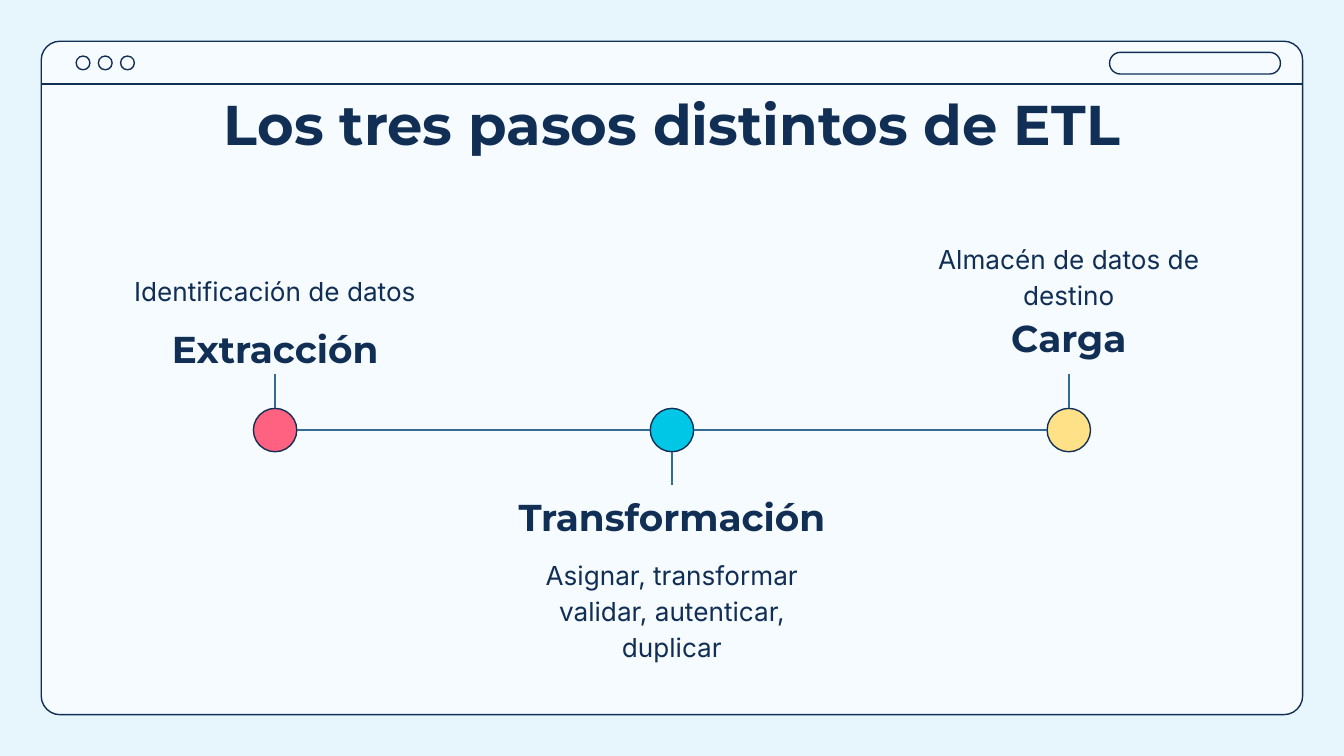
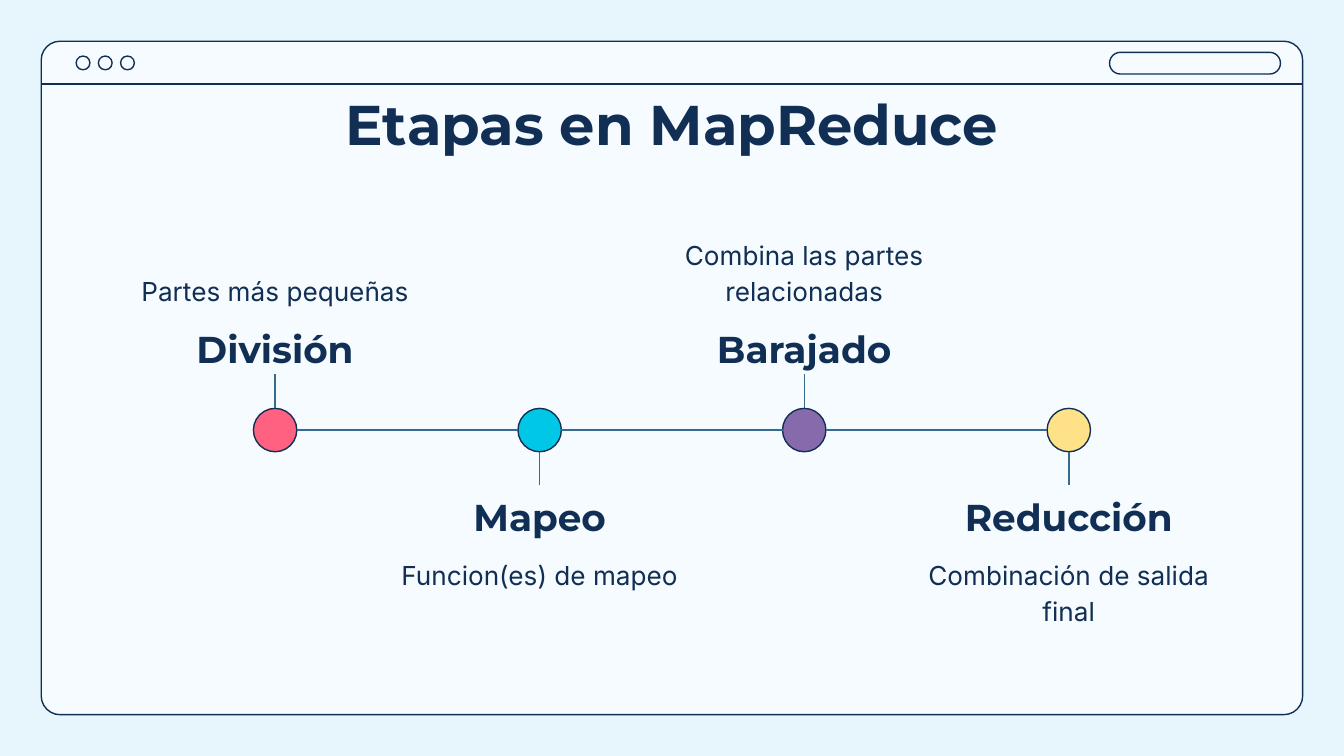
from dataclasses import dataclass
from itertools import pairwise

from lxml import etree
from pptx import Presentation
from pptx.dml.color import RGBColor
from pptx.enum.shapes import MSO_CONNECTOR, MSO_SHAPE
from pptx.enum.text import MSO_ANCHOR, MSO_AUTO_SIZE, PP_ALIGN
from pptx.oxml.ns import qn
from pptx.shapes.autoshape import Shape
from pptx.shapes.connector import Connector
from pptx.slide import Slide, SlideLayout
from pptx.util import Cm, Pt

ELLIPSE = MSO_SHAPE.OVAL
ROUNDED = MSO_SHAPE.ROUNDED_RECTANGLE
STRAIGHT = MSO_CONNECTOR.STRAIGHT
TOP, BOTTOM = MSO_ANCHOR.TOP, MSO_ANCHOR.BOTTOM
CENTER = PP_ALIGN.CENTER
NO_AUTOFIT = MSO_AUTO_SIZE.NONE
TOP_SIDE, BOTTOM_SIDE = 0, 2

COLORS = {
    "background": "E6F6FC",
    "window": "F5FBFF",
    "navy": "112E54",
    "timeline": "356B90",
    "pink": "FF6180",
    "cyan": "00C7E6",
    "purple": "866AAC",
    "yellow": "FFE188",
}
HEADING_FONT = "Montserrat"
BODY_FONT = "Inter"

WINDOW_LEFT, WINDOW_TOP, WINDOW_WIDTH, WINDOW_HEIGHT = 0.78, 0.78, 23.84, 12.73
DIVIDER_Y = 1.59
FIRST_CENTER, LAST_CENTER = 5.2, 20.2
TIMELINE_Y = 8.13
MARKER_SIZE = 0.82
RADIUS = MARKER_SIZE / 2
TEXT_WIDTH, LABEL_HEIGHT, DETAIL_HEIGHT = 6.4, 1.27, 1.6


@dataclass(frozen=True)
class Placement:
    label_top: float
    label_anchor: MSO_ANCHOR
    detail_top: float
    detail_anchor: MSO_ANCHOR
    above: bool


ABOVE = Placement(5.79, TOP, 4.45, BOTTOM, True)
ABOVE_RAISED = Placement(5.79, BOTTOM, 4.27, TOP, True)
BELOW = Placement(9.17, BOTTOM, 10.24, TOP, False)


@dataclass(frozen=True)
class Step:
    label: str
    detail: str
    color: str
    placement: Placement


@dataclass(frozen=True)
class Timeline:
    title: str
    steps: tuple[Step, ...]


TIMELINES = (
    Timeline("Los tres pasos distintos de ETL", (
        Step("Extracción", "Identificación de datos", "pink", ABOVE),
        Step("Transformación", "Asignar, transformar validar, autenticar, duplicar",
             "cyan", BELOW),
        Step("Carga", "Almacén de datos de destino", "yellow", ABOVE_RAISED),
    )),
    Timeline("Etapas en MapReduce", (
        Step("División", "Partes más pequeñas", "pink", ABOVE),
        Step("Mapeo", "Funcion(es) de mapeo", "cyan", BELOW),
        Step("Barajado", "Combina las partes relacionadas", "purple", ABOVE),
        Step("Reducción", "Combinación de salida final", "yellow", BELOW),
    )),
)


def rgb(name: str) -> RGBColor:
    return RGBColor.from_string(COLORS[name])


def write_text(shape: Shape, text: str, *, size: float, font: str = HEADING_FONT,
               bold: bool = True, anchor: MSO_ANCHOR = TOP,
               line_spacing: float = 1.0) -> None:
    frame = shape.text_frame
    frame.word_wrap = True
    frame.auto_size = NO_AUTOFIT
    frame.vertical_anchor = anchor
    frame.margin_left = frame.margin_right = Cm(0.25)
    frame.margin_top = frame.margin_bottom = Cm(0.25)
    paragraph = frame.paragraphs[0]
    paragraph.alignment = CENTER
    paragraph.line_spacing = line_spacing
    run = paragraph.add_run()
    run.text = text
    run.font.name = font
    run.font.size = Pt(size)
    run.font.bold = bold
    run.font.color.rgb = rgb("navy")


def add_outlined(shapes, kind: MSO_SHAPE, left: float, top: float, width: float,
                 height: float, fill: str | None = None) -> Shape:
    shape = shapes.add_shape(kind, Cm(left), Cm(top), Cm(width), Cm(height))
    shape.shadow.inherit = False
    if fill:
        shape.fill.solid()
        shape.fill.fore_color.rgb = rgb(fill)
    else:
        shape.fill.background()
    shape.line.color.rgb = rgb("navy")
    shape.line.width = Pt(0.75)
    return shape


def add_line(shapes, start: tuple[float, float], end: tuple[float, float],
             color: str = "timeline") -> Connector:
    connector = shapes.add_connector(STRAIGHT, *map(Cm, start + end))
    connector.line.color.rgb = rgb(color)
    connector.line.width = Pt(0.75)
    etree.SubElement(connector._element.spPr, qn("a:effectLst"))
    return connector


def add_text(slide: Slide, text: str, center: float, top: float, height: float,
             **text_format) -> Shape:
    box = slide.shapes.add_textbox(Cm(center - TEXT_WIDTH / 2), Cm(top),
                                   Cm(TEXT_WIDTH), Cm(height))
    write_text(box, text, line_spacing=1.15, **text_format)
    return box


def add_window(slide: Slide, layout: SlideLayout) -> None:
    group = slide.shapes.add_group_shape()
    window = add_outlined(group.shapes, ROUNDED, WINDOW_LEFT, WINDOW_TOP,
                          WINDOW_WIDTH, WINDOW_HEIGHT, "window")
    window.adjustments[0] = 0.028
    for index in range(3):
        add_outlined(group.shapes, ELLIPSE, 1.44 + 0.42 * index, 1.06, 0.26, 0.26)
    address_bar = add_outlined(group.shapes, ROUNDED, 20.97, 0.99, 3.23, 0.41)
    address_bar.adjustments[0] = 0.5
    add_line(group.shapes, (WINDOW_LEFT, DIVIDER_Y),
             (WINDOW_LEFT + WINDOW_WIDTH, DIVIDER_Y), "navy")
    layout.shapes.element.insert(2, group._element)


def prepare_layout(layout: SlideLayout) -> None:
    layout.background.fill.solid()
    layout.background.fill.fore_color.rgb = rgb("background")
    title, *footers = layout.placeholders
    title.left, title.top, title.width, title.height = map(Cm, (2, 1.45, 21.4, 1.6))
    for footer in footers:
        layout.shapes.element.remove(footer._element)


def add_step(slide: Slide, step: Step, center: float) -> None:
    placement = step.placement
    label = add_text(slide, step.label, center, placement.label_top, LABEL_HEIGHT,
                     size=20, anchor=placement.label_anchor)
    add_text(slide, step.detail, center, placement.detail_top, DETAIL_HEIGHT,
             size=14, font=BODY_FONT, bold=False, anchor=placement.detail_anchor)
    add_outlined(slide.shapes, ELLIPSE, center - RADIUS, TIMELINE_Y - RADIUS,
                 MARKER_SIZE, MARKER_SIZE, step.color)
    if placement.above:
        edge, label_y, side = TIMELINE_Y - RADIUS, 7.06, BOTTOM_SIDE
    else:
        edge, label_y, side = TIMELINE_Y + RADIUS, 9.17, TOP_SIDE
    stem = add_line(slide.shapes, (center, edge), (center, label_y))
    stem.end_connect(label, side)


def fill_slide(slide: Slide, timeline: Timeline) -> None:
    write_text(slide.shapes.title, timeline.title, size=30)
    spacing = (LAST_CENTER - FIRST_CENTER) / (len(timeline.steps) - 1)
    centers = [FIRST_CENTER + spacing * index for index in range(len(timeline.steps))]
    for step, center in zip(timeline.steps, centers):
        add_step(slide, step, center)
    for left, right in pairwise(centers):
        add_line(slide.shapes, (left + RADIUS, TIMELINE_Y),
                 (right - RADIUS, TIMELINE_Y))


def main() -> None:
    presentation = Presentation()
    presentation.slide_width, presentation.slide_height = Cm(25.4), Cm(14.29)
    layout = presentation.slide_layouts.get_by_name("Title Only")
    prepare_layout(layout)
    slides = [presentation.slides.add_slide(layout) for _ in TIMELINES]
    add_window(slides[0], layout)
    for slide, timeline in zip(slides, TIMELINES):
        fill_slide(slide, timeline)
    presentation.save("out.pptx")


if __name__ == "__main__":
    main()
